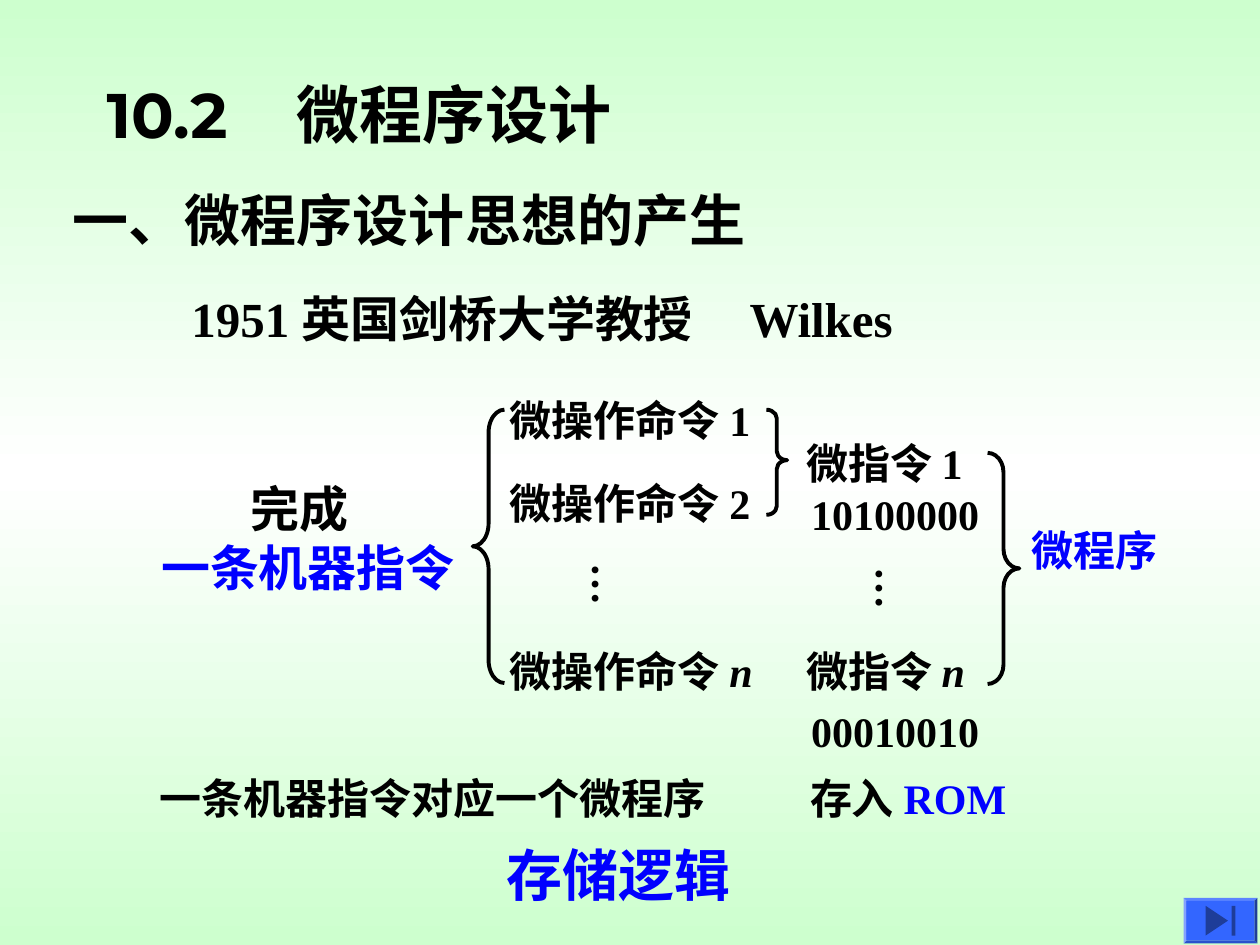
from copy import deepcopy

from lxml import etree
from pptx import Presentation, util as u
from pptx.dml.color import RGBColor
from pptx.enum import shapes, text
from pptx.oxml.ns import qn

COLORS = {"ink": "000000", "key": "0000FF", "edge": "CDFFCE",
          "mid": "FFFFFF", "button": "3366FF"}
SERIF = "Times New Roman"


def rgb(name):
    return RGBColor.from_string(COLORS[name])


def add_run(p, content, size=24, font=SERIF, color="ink", italic=False):
    r = p.add_run()
    r.text = content
    f = r.font
    f.name, f.size, f.bold, f.italic = font, u.Pt(size), True, italic
    f.color.rgb = rgb(color)


class Deck:
    """Holds the shared style and the slide being filled; lengths are in cm."""

    def __init__(self):
        self.prs = Presentation()
        self.prs.slide_width, self.prs.slide_height = u.Cm(25.4), u.Cm(19.05)
        self.s = self.prs.slides.add_slide(self.prs.slide_layouts[6])

    def background(self, *names):
        """Vertical gradient with evenly spaced colours."""
        fill = self.s.background.fill
        fill.gradient()
        fill.gradient_angle = 90
        stops = self.s.element.find(".//" + qn("a:gsLst"))
        while len(stops) < len(names):
            stops.append(deepcopy(stops[0]))
        for i, (stop, name) in enumerate(zip(fill.gradient_stops, names)):
            stop.position = i / (len(names) - 1)
            stop.color.rgb = rgb(name)

    def text(self, x, y, w, h, *runs, wrap=True, tab=None, **fmt):
        """Each run is a string, or a (string, format changes) pair."""
        sp = self.s.shapes.add_textbox(u.Cm(x), u.Cm(y), u.Cm(w), u.Cm(h))
        tf = sp.text_frame
        tf.word_wrap = wrap
        p = tf.paragraphs[0]
        if tab:
            tabs = etree.SubElement(p._p.get_or_add_pPr(), qn("a:tabLst"))
            etree.SubElement(tabs, qn("a:tab"), pos=str(u.Cm(tab)), algn="l")
        for run in runs:
            content, changes = (run, {}) if isinstance(run, str) else run
            add_run(p, content, **{**fmt, **changes})
        return tf

    def dots(self, x, y):
        """Ellipsis turned to run downwards."""
        tf = self.text(x, y, 1.52, 1.12, "…", wrap=False)
        tf.margin_left = tf.margin_right = u.Cm(0.13)
        tf.margin_top = tf.margin_bottom = u.Cm(0.25)
        tf._txBody.bodyPr.set("vert", "eaVert")

    def shape(self, kind, x, y, w, h):
        sp = self.s.shapes.add_shape(kind, u.Cm(x), u.Cm(y), u.Cm(w), u.Cm(h))
        sp.shadow.inherit = False
        return sp

    def brace(self, kind, x, y, w, h, curl, tip=0.5):
        sp = self.shape(kind, x, y, w, h)
        sp.adjustments[0], sp.adjustments[1] = curl, tip
        sp.fill.background()
        sp.line.color.rgb = rgb("ink")
        sp.line.width = u.Pt(2.25)

    def button(self, kind, x, y, w, h, edge=0.06):
        """Action button face set inside a bevelled rim."""
        rim = self.shape(shapes.MSO_SHAPE.BEVEL, x, y, w, h)
        rim.adjustments[0] = edge / h
        face = self.shape(kind, x + edge, y + edge, w - 2 * edge, h - 2 * edge)
        for sp in (rim, face):
            sp.fill.solid()
            sp.fill.fore_color.rgb = rgb("button")
            sp.line.fill.background()


def main():
    d = Deck()
    kinds = shapes.MSO_SHAPE
    n = ("n", {"italic": True})
    d.background("edge", "mid", "edge")

    title = d.text(1.9, 0, 21.6, 3.18, "10.2\t微程序设计", size=36,
                   font="Montserrat", tab=3.83)
    title.vertical_anchor = text.MSO_ANCHOR.BOTTOM
    d.text(1.22, 3.61, 16.97, 1.63, "一、微程序设计思想的产生", size=32)
    d.text(3.61, 5.69, 20.5, 1.45, "1951 英国剑桥大学教授\tWilkes", size=28, tab=11.25)

    goal = d.text(3, 9.53, 6.6, 2.64, "完成", size=28)
    goal.paragraphs[0]._p.get_or_add_pPr().set("marL", str(u.Cm(1.8)))
    add_run(goal.add_paragraph(), "一条机器指令", size=28, color="key")

    for y, number in ((7.82, "1"), (9.5, "2"), (12.88, n)):
        d.text(10.03, y, 6.2, 1.27, "微操作命令 ", number)
    for y, number in ((8.69, "1"), (12.88, n)):
        d.text(16, y, 4.5, 1.27, "微指令 ", number)
    for y, bits in ((9.73, "10100000"), (14.1, "00010010")):
        d.text(16.1, y, 4.5, 1.27, bits)
    d.dots(11.4, 11.12)
    d.dots(17.12, 11.2)

    d.brace(kinds.LEFT_BRACE, 9.53, 8.26, 0.64, 5.51, 0.72)
    d.brace(kinds.RIGHT_BRACE, 15.45, 8.26, 0.42, 2.12, 0.42, 0.48)
    d.brace(kinds.RIGHT_BRACE, 19.91, 9.13, 0.64, 4.66, 0.61)

    d.text(20.55, 10.44, 3.56, 1.27, "微程序", color="key")
    d.text(2.97, 15.44, 12.55, 1.27, "一条机器指令对应一个微程序")
    d.text(16.08, 15.44, 5.08, 1.27, "存入 ", ("ROM", {"color": "key"}))
    d.text(9.96, 16.81, 8.94, 1.63, "存储逻辑", size=32, color="key")
    d.button(kinds.ACTION_BUTTON_END, 23.86, 18.1, 1.49, 0.92)

    d.prs.save("out.pptx")


if __name__ == "__main__":
    main()
